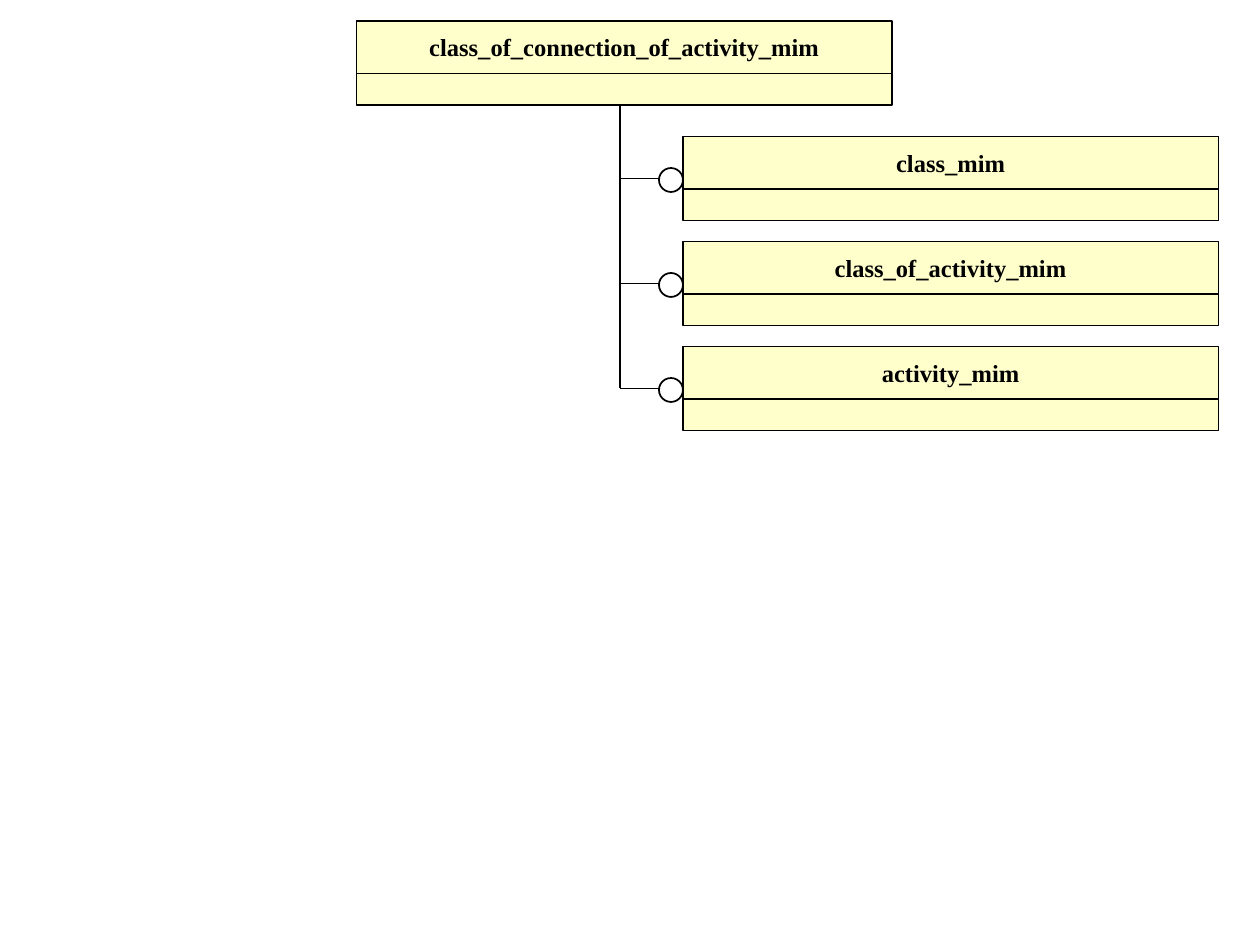
import pptx
import pptx.dml.color
import pptx.enum.shapes
import pptx.enum.text
import pptx.util
from lxml import etree

Inches = pptx.util.Inches
Shape = pptx.enum.shapes.MSO_SHAPE


def color(hex_text):
    """Turn a hex string into a colour."""
    return pptx.dml.color.RGBColor.from_string(hex_text)


class SchemaDiagram:
    """Hold the diagram style and draw its elements on the current slide."""

    ink = "000000"
    box_fill = "FFFFCC"
    circle_fill = "FFFFFF"
    font_name = "Times New Roman"
    font_size = 14
    box_width = 4.25
    title_height = 5 / 12
    body_height = 0.25
    circle_size = 0.19

    def __init__(self, slide):
        """Keep the slide to draw on."""
        self.slide = slide

    def outline(self, element, width):
        """Apply the ink colour and a line width in points."""
        element.line.color.rgb = color(self.ink)
        element.line.width = pptx.util.Pt(width)

    def shape(self, shapes, preset, left, top, width, height, fill, line_width):
        """Add a filled and outlined preset shape."""
        element = shapes.add_shape(
            preset, Inches(left), Inches(top), Inches(width), Inches(height))
        element.shadow.inherit = False
        element.fill.solid()
        element.fill.fore_color.rgb = color(fill)
        self.outline(element, line_width)
        return element

    def entity(self, name, left, top):
        """Add a grouped entity box with a name above an empty compartment."""
        shapes = self.slide.shapes.add_group_shape().shapes
        title = self.shape(shapes, Shape.RECTANGLE, left, top, self.box_width,
                           self.title_height, self.box_fill, 0.75)
        self.shape(shapes, Shape.RECTANGLE, left, top + self.title_height,
                   self.box_width, self.body_height, self.box_fill, 0.75)
        frame = title.text_frame
        frame.word_wrap = False
        frame.vertical_anchor = pptx.enum.text.MSO_ANCHOR.MIDDLE
        label = frame.paragraphs[0]
        label.text = name
        label.alignment = pptx.enum.text.PP_ALIGN.CENTER
        label.font.name = self.font_name
        label.font.size = pptx.util.Pt(self.font_size)
        label.font.bold = True
        label.font.color.rgb = color(self.ink)

    def line(self, x1, y1, x2, y2):
        """Add a straight connector without a shadow."""
        connector = self.slide.shapes.add_connector(
            pptx.enum.shapes.MSO_CONNECTOR.STRAIGHT,
            Inches(x1), Inches(y1), Inches(x2), Inches(y2))
        self.outline(connector, 0.75)
        etree.SubElement(connector._element.spPr, pptx.oxml.ns.qn("a:effectLst"))

    def circle(self, left, top):
        """Add the round end mark of a relation."""
        self.shape(self.slide.shapes, Shape.OVAL, left, top, self.circle_size,
                   self.circle_size, self.circle_fill, 1)


def main():
    """Build the schema slide and save it."""
    presentation = pptx.Presentation()
    presentation.slide_width = Inches(10)
    presentation.slide_height = Inches(7.5)
    diagram = SchemaDiagram(
        presentation.slides.add_slide(presentation.slide_layouts[6]))

    parent_top = 2 / 12
    parent_bottom = parent_top + diagram.title_height + diagram.body_height
    trunk_x = 4.92
    child_left = 5.42
    first_child_top = 13 / 12
    child_pitch = 10 / 12
    branch_drop = 4 / 12
    children = ["class_mim", "class_of_activity_mim", "activity_mim"]

    diagram.entity("class_of_connection_of_activity_mim", 2.83, parent_top)
    last_branch = first_child_top + (len(children) - 1) * child_pitch + branch_drop
    diagram.line(trunk_x, last_branch, trunk_x, parent_bottom)
    for index, name in enumerate(children):
        top = first_child_top + index * child_pitch
        branch_y = top + branch_drop
        diagram.entity(name, child_left, top)
        diagram.line(trunk_x, branch_y, 5.25, branch_y)
        diagram.circle(child_left - diagram.circle_size, top + 0.25)

    presentation.save("out.pptx")


if __name__ == "__main__":
    main()
